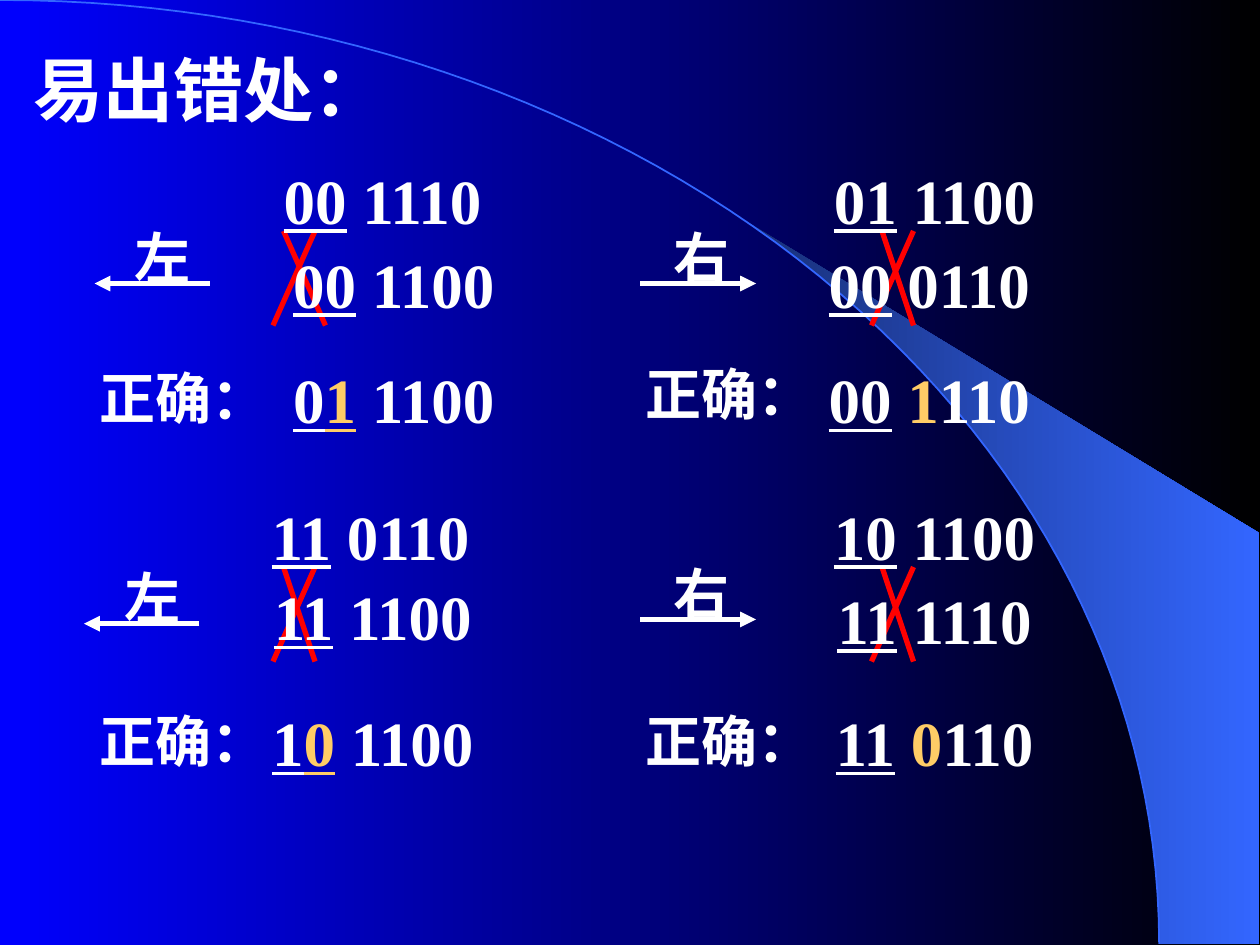
from itertools import groupby
from math import asin, cos, pi, sin

from lxml.etree import SubElement
from pptx import Presentation
from pptx.dml.color import RGBColor
from pptx.enum.shapes import MSO_CONNECTOR
from pptx.enum.text import MSO_ANCHOR, MSO_AUTO_SIZE, PP_ALIGN
from pptx.oxml.ns import qn
from pptx.util import Pt

WHITE = RGBColor(0xFF, 0xFF, 0xFF)
GOLD = RGBColor(0xFF, 0xCC, 0x66)
RED = RGBColor(0xFF, 0x00, 0x00)
BLUE = RGBColor(0x00, 0x00, 0xFF)
BLACK = RGBColor(0x00, 0x00, 0x00)
NAVY = RGBColor(0x18, 0x2F, 0x76)
SKY = RGBColor(0x33, 0x66, 0xFF)
FONT = "Times New Roman"
ARC_W, ARC_H = 662.4, 539.3


def format_text(sp, runs, size=32, left=7.2, right=7.2):
    tf = sp.text_frame
    tf.word_wrap = True
    tf.auto_size = MSO_AUTO_SIZE.NONE
    tf.vertical_anchor = MSO_ANCHOR.TOP
    tf.margin_left, tf.margin_right = Pt(left), Pt(right)
    tf.margin_top, tf.margin_bottom = Pt(3.6 + size / 8), Pt(3.6)
    p = tf.paragraphs[0]
    p.alignment = PP_ALIGN.CENTER
    for text, color, underline in runs:
        r = p.add_run()
        r.text = text
        r.font.name, r.font.size, r.font.bold = FONT, Pt(size), True
        r.font.color.rgb = color
        r.font.underline = underline


def add_label(s, text, x, y, w):
    sp = s.shapes.add_textbox(Pt(x), Pt(y), Pt(w), Pt(46))
    format_text(sp, [(text, WHITE, False)])


def add_bits(s, bits, x, y, w, accent=None, right=25.2):
    def style(i):
        return GOLD if i == accent else WHITE, i < 2

    runs = [("".join(bits[i] for i in group), *key)
            for key, group in groupby(range(len(bits)), key=style)]
    sp = s.shapes.add_textbox(Pt(x), Pt(y), Pt(w), Pt(50.4))
    format_text(sp, runs, size=36, left=0, right=right - 7.2)


def add_line(s, x1, y1, x2, y2, color, arrow=False):
    line = s.shapes.add_connector(
        MSO_CONNECTOR.STRAIGHT, Pt(x1), Pt(y1), Pt(x2), Pt(y2))
    line.line.color.rgb = color
    line.line.width = Pt(3)
    if arrow:
        SubElement(line.line._get_or_add_ln(), qn("a:tailEnd"), type="triangle")
    SubElement(line._element.spPr, qn("a:effectLst"))


def add_cross(s, x, y, w):
    add_line(s, x + 24, y, x, y + 54, RED)
    add_line(s, x + 6, y, x + w, y + 54, RED)


def set_gradient(fill, start, end):
    fill.gradient()
    fill.gradient_angle = 0
    for stop, color in zip(fill.gradient_stops, (start, end)):
        stop.color.rgb = color


def arc_points(start, n=60):
    angles = [start + (pi / 2 - start) * i / n for i in range(n + 1)]
    return [(ARC_W * sin(a), ARC_H * (1 - cos(a))) for a in angles]


def add_outline(s, points, close):
    points = [(Pt(x), Pt(y)) for x, y in points]
    builder = s.shapes.build_freeform(*points[0])
    builder.add_line_segments(points[1:], close=close)
    sp = builder.convert_to_shape()
    sp.shadow.inherit = False
    return sp


def add_backdrop(s):
    set_gradient(s.background.fill, BLUE, BLACK)
    corner = [(719.3, ARC_H), (719.3, 304.5)]
    band = add_outline(s, arc_points(asin(0.64)) + corner, True)
    set_gradient(band.fill, NAVY, SKY)
    band.line.fill.background()
    arc = add_outline(s, arc_points(0), False)
    arc.fill.background()
    arc.line.color.rgb = SKY
    arc.line.width = Pt(1)


def add_title(s, text):
    sp = s.shapes.title
    sp.left, sp.top, sp.width, sp.height = Pt(0), Pt(18), Pt(198), Pt(55.4)
    format_text(sp, [(text, WHITE, False)], size=40)


def main():
    prs = Presentation()
    prs.slide_width, prs.slide_height = Pt(720), Pt(540)
    s = prs.slides.add_slide(prs.slide_layouts[5])
    add_backdrop(s)
    add_title(s, "易出错处：")

    for x, y, w in ((156, 132, 30), (498, 132, 24), (156, 324, 24), (498, 324, 24)):
        add_cross(s, x, y, w)

    for text, x, y, w in (("左", 66, 120, 54), ("右", 378, 120, 46),
                          ("左", 60, 314.6, 54), ("右", 378, 312, 46)):
        add_label(s, text, x, y, w)
    for x1, x2, y in ((120, 54, 162), (366, 432, 162),
                      (114, 48, 356.4), (366, 432, 354)):
        add_line(s, x1, y, x2, y, WHITE, arrow=True)

    for x, y in ((48, 200), (360, 198), (48, 396), (360, 396)):
        add_label(s, "正确：", x, y, 114)

    add_bits(s, "00 1110", 152, 84, 168, right=42)
    add_bits(s, "00 1100", 138, 132, 192)
    add_bits(s, "01 1100", 138, 198, 192, accent=1)
    add_bits(s, "01 1100", 450, 84, 186)
    add_bits(s, "00 0110", 450, 132, 180)
    add_bits(s, "00 1110", 450, 198, 180, accent=3)
    add_bits(s, "11 0110", 147.6, 276, 156, right=35)
    add_bits(s, "11 1100", 138, 322, 168)
    add_bits(s, "10 1100", 138, 394, 168, accent=1)
    add_bits(s, "10 1100", 465, 276, 156)
    add_bits(s, "11 1110", 450, 324, 186)
    add_bits(s, "11 0110", 450, 394, 186, accent=3)
    prs.save("out.pptx")


if __name__ == "__main__":
    main()
